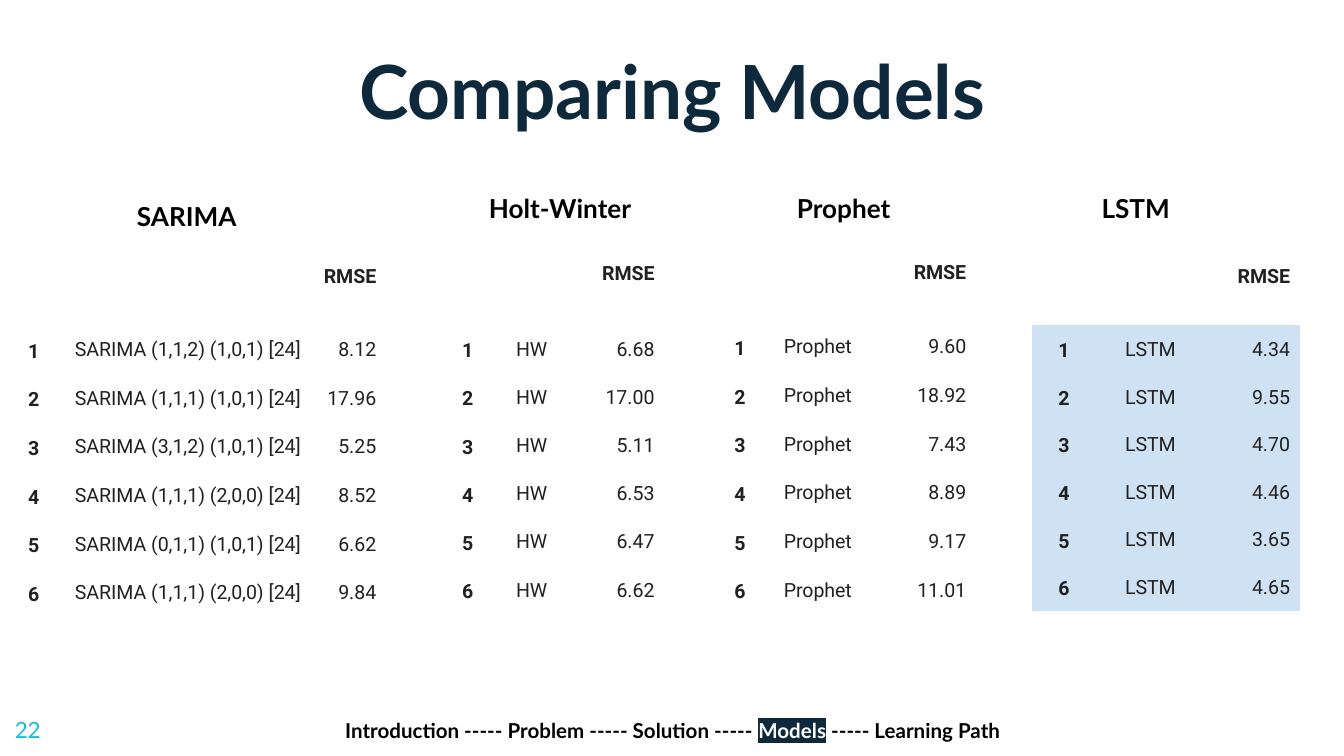
"""Build the slide that compares forecasting models by RMSE."""
from dataclasses import dataclass

from lxml import etree
from pptx import Presentation
from pptx.dml.color import RGBColor
from pptx.enum.text import MSO_ANCHOR, PP_ALIGN
from pptx.oxml.ns import qn
from pptx.util import Cm, Pt

LEFT, CENTER, RIGHT = PP_ALIGN.LEFT, PP_ALIGN.CENTER, PP_ALIGN.RIGHT
TOP, MIDDLE, BOTTOM = MSO_ANCHOR.TOP, MSO_ANCHOR.MIDDLE, MSO_ANCHOR.BOTTOM
BLACK = RGBColor(0x00, 0x00, 0x00)
WHITE = RGBColor(0xFF, 0xFF, 0xFF)
NAVY = RGBColor(0x0E, 0x29, 0x3C)
CYAN = RGBColor(0x19, 0xBB, 0xD5)
INK = RGBColor(0x21, 0x21, 0x21)
PALE_BLUE = RGBColor(0xCF, 0xE2, 0xF3)
NO_STYLE = "{2D5ABB26-0587-4C30-8999-92F81FD0307C}"
MARGIN = Cm(0.25)
CELL_MARGIN = Cm(0.18)

HEADING = dict(name="Lato", size=Pt(14), bold=True)
TITLE = dict(name="Lato", size=Pt(40), bold=True)
FOOTER = dict(name="Lato", size=Pt(11), bold=True)
PAGE = dict(name="Lato", size=Pt(12), bold=False)
CELL = dict(name="Roboto", size=Pt(10.5), bold=False)
CELL_BOLD = CELL | dict(bold=True)


@dataclass
class Box:
    left: float
    top: float
    width: float
    height: float


@dataclass
class Model:
    heading: str
    heading_box: Box
    left: float
    top: float
    columns: tuple[float, float, float]
    header_height: float
    row_height: float
    names: list[str]
    scores: list[str]
    fill: RGBColor = WHITE


MODELS = [
    Model("SARIMA", Box(2.34, 3.53, 2.49, 1.27), 0.18, 4.78, (0.91, 4.78, 1.42), 1.37, 0.92,
          [f"SARIMA {order} [24]" for order in (
              "(1,1,2) (1,0,1)", "(1,1,1) (1,0,1)", "(3,1,2) (1,0,1)",
              "(1,1,1) (2,0,0)", "(0,1,1) (1,0,1)", "(1,1,1) (2,0,0)")],
          ["8.12", "17.96", "5.25", "8.52", "6.62", "9.84"]),
    Model("Holt-Winter", Box(8.99, 3.38, 3.45, 1.27), 8.28, 4.72, (1.12, 1.12, 2.03), 1.43, 0.91,
          ["HW"] * 6, ["6.68", "17.00", "5.11", "6.53", "6.47", "6.62"]),
    Model("Prophet", Box(14.81, 3.38, 2.49, 1.27), 13.39, 4.7, (1.19, 1.7, 2.16), 1.4, 0.92,
          ["Prophet"] * 6, ["9.60", "18.92", "7.43", "8.89", "9.17", "11.01"]),
    Model("LSTM", Box(20.57, 3.38, 2.49, 0.99), 19.51, 4.78, (1.19, 1.7, 2.16), 1.37, 0.9,
          ["LSTM"] * 6, ["4.34", "9.55", "4.70", "4.46", "3.65", "4.65"], PALE_BLUE),
]


def add_run(p, text: str, font: dict, color: RGBColor, highlight: RGBColor | None = None) -> None:
    r = p.add_run()
    r.text = text
    for key, value in font.items():
        setattr(r.font, key, value)
    r.font.color.rgb = color
    if highlight is not None:
        mark = etree.Element(qn("a:highlight"))
        etree.SubElement(mark, qn("a:srgbClr"), val=str(highlight))
        r.font._element.find(qn("a:solidFill")).addnext(mark)


def add_box(s, box: Box, align=LEFT, anchor=TOP):
    tf = s.shapes.add_textbox(Cm(box.left), Cm(box.top), Cm(box.width), Cm(box.height)).text_frame
    for side in ("left", "top", "right", "bottom"):
        setattr(tf, f"margin_{side}", MARGIN)
    tf.word_wrap = True
    tf.vertical_anchor = anchor
    p = tf.paragraphs[0]
    p.alignment = align
    return p


def set_borders(cell, sides: str, color: RGBColor) -> None:
    tc_pr = cell._tc.get_or_add_tcPr()
    for i, side in enumerate(sides):
        line = etree.Element(qn(f"a:ln{side}"), w=str(Pt(0.75)))
        fill = etree.SubElement(line, qn("a:solidFill"))
        etree.SubElement(fill, qn("a:srgbClr"), val=str(color))
        tc_pr.insert(i, line)


def fill_cell(cell, text: str, font: dict, fill: RGBColor, align=RIGHT, anchor=TOP) -> None:
    for side in ("left", "top", "right", "bottom"):
        setattr(cell, f"margin_{side}", CELL_MARGIN)
    cell.vertical_anchor = anchor
    cell.fill.solid()
    cell.fill.fore_color.rgb = fill
    if text:
        p = cell.text_frame.paragraphs[0]
        p.alignment = align
        p.line_spacing = 1.15
        add_run(p, text, font, INK, fill)


def add_model(s, model: Model) -> None:
    add_run(add_box(s, model.heading_box), model.heading, HEADING, BLACK)
    heights = [model.header_height] + [model.row_height] * len(model.names)
    table = s.shapes.add_table(len(heights), len(model.columns), Cm(model.left), Cm(model.top),
                               Cm(sum(model.columns)), Cm(sum(heights))).table
    table.first_row = table.horz_banding = False
    table._tbl.tblPr.find(qn("a:tableStyleId")).text = NO_STYLE
    for column, width in zip(table.columns, model.columns):
        column.width = Cm(width)
    for row, height in zip(table.rows, heights):
        row.height = Cm(height)
    for cell, text in zip(table.rows[0].cells, ("", "", "RMSE")):
        fill_cell(cell, text, CELL_BOLD, WHITE)
    for i, (name, score) in enumerate(zip(model.names, model.scores), 1):
        number_cell, name_cell, score_cell = table.rows[i].cells
        fill_cell(number_cell, str(i), CELL_BOLD, model.fill, CENTER, MIDDLE)
        fill_cell(name_cell, name, CELL, model.fill)
        fill_cell(score_cell, score, CELL, model.fill)
    if model.fill != WHITE:
        for i, sides in enumerate(("B", "LRTB", "T")):
            for cell in table.rows[i].cells:
                set_borders(cell, sides, model.fill)


def main() -> None:
    prs = Presentation()
    prs.slide_width, prs.slide_height = Cm(25.4), Cm(14.29)
    s = prs.slides.add_slide(prs.slide_layouts[6])
    add_run(add_box(s, Box(0.03, 13.28, 1.52, 0.99)), "22", PAGE, CYAN)
    add_run(add_box(s, Box(4.83, 0.64, 15.75, 2.16), CENTER, BOTTOM), "Comparing Models", TITLE, NAVY)
    for model in MODELS:
        add_model(s, model)
    p = add_box(s, Box(2.95, 13.34, 19.53, 0.91), CENTER)
    add_run(p, "Introduction ----- Problem ----- Solution ----- ", FOOTER, BLACK)
    add_run(p, "Models", FOOTER, WHITE, NAVY)
    add_run(p, " ----- Learning Path", FOOTER, BLACK)
    prs.save("out.pptx")


if __name__ == "__main__":
    main()
